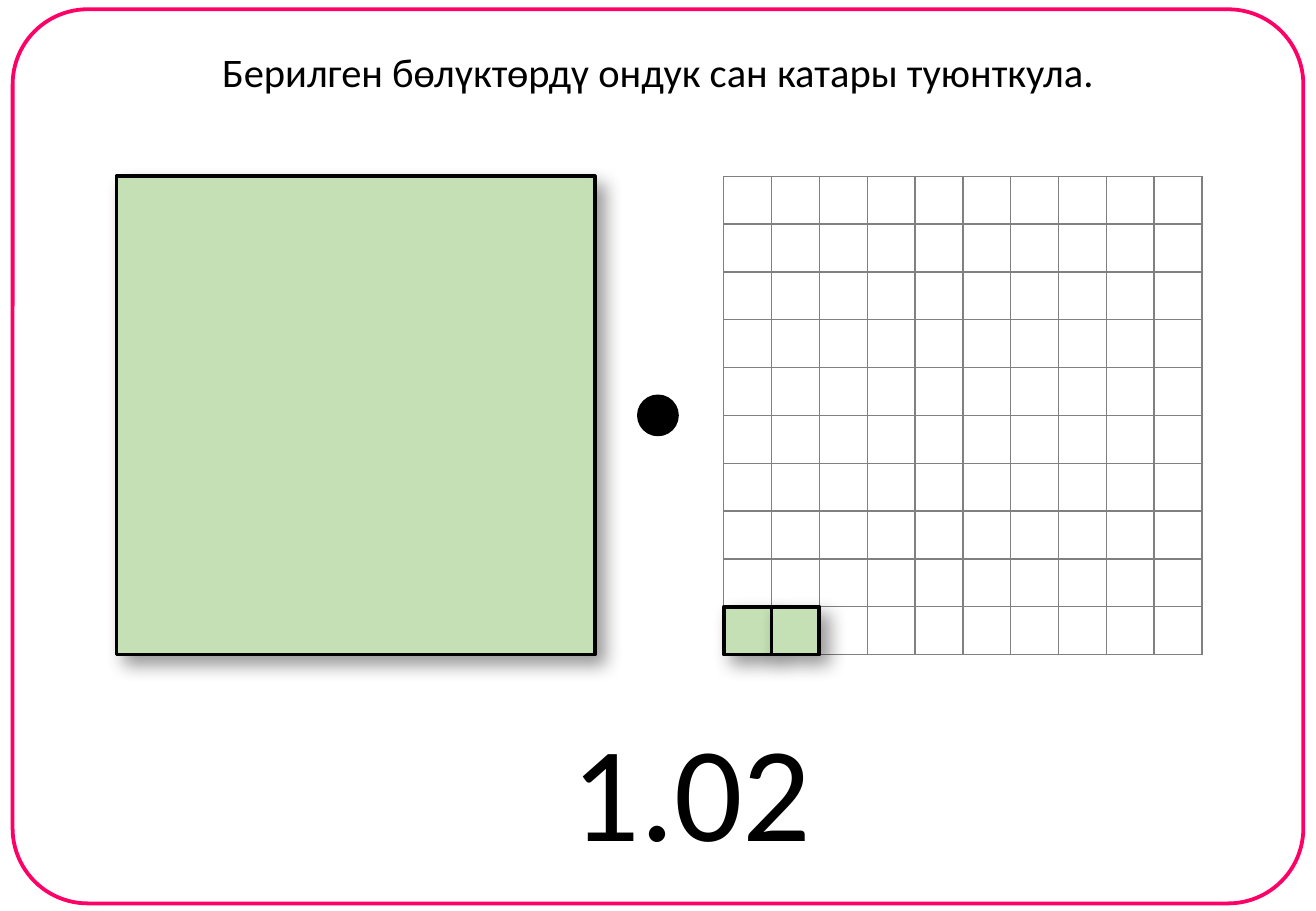
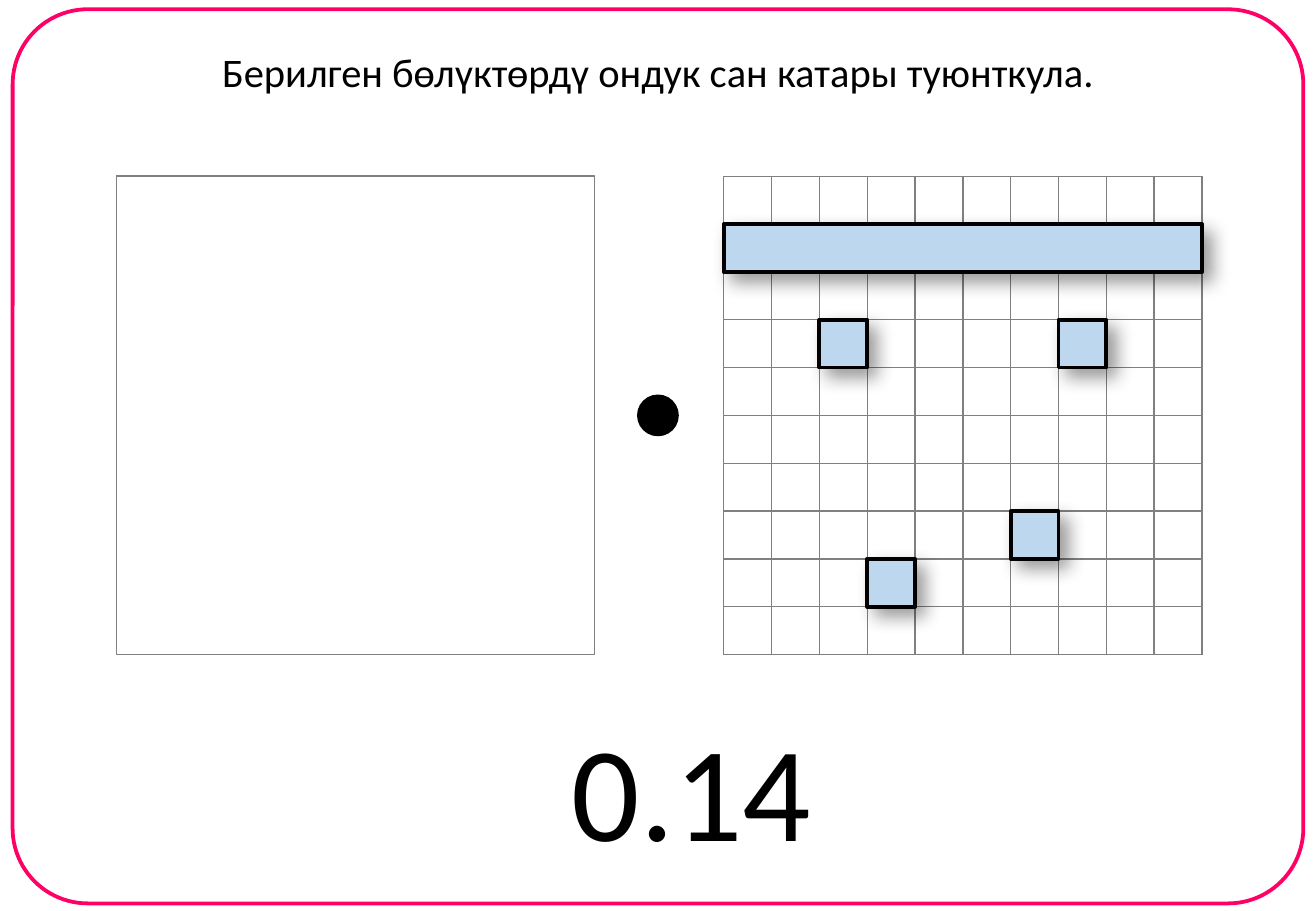
from lxml import etree
from pptx import Presentation
from pptx.dml.color import RGBColor
from pptx.enum import shapes, text
from pptx.oxml import ns
from pptx.util import Pt

# Colours and type
PINK = RGBColor(0xFF, 0x00, 0x66)
BLACK = RGBColor(0x00, 0x00, 0x00)
WHITE = RGBColor(0xFF, 0xFF, 0xFF)
GRAY = RGBColor(0x80, 0x80, 0x80)
GREEN = RGBColor(0xC5, 0xE0, 0xB4)
BLUE = RGBColor(0xBD, 0xD7, 0xEE)
FONT = "Calibri"

# Layout, in points
SLIDE_W, SLIDE_H = 780, 540
CELL, COUNT = 28.35, 10
SIDE = CELL * COUNT
TOP = 104.5
WHOLE_LEFT, GRID_LEFT = 69, 429
DOT = 22.5
HEAVY, THIN = 2.25, 1

TASK = "Берилген бөлүктөрдү ондук сан катары туюнткула."


def sub(parent, tag, **attributes):
    return etree.SubElement(parent, ns.qn(tag), attributes)


def add_color(parent, color, alpha=None):
    value = sub(parent, "a:srgbClr", val=str(color))
    if alpha is not None:
        sub(value, "a:alpha", val=str(alpha * 1000))


def add_figure(slide, preset, box, fill, line, width=HEAVY):
    figure = slide.shapes.add_shape(preset, *map(Pt, box))
    figure.shadow.inherit = False
    if fill is None:
        figure.fill.background()
    else:
        figure.fill.solid()
        figure.fill.fore_color.rgb = fill
    figure.line.color.rgb = line
    figure.line.width = Pt(width)
    return figure


def add_piece(slide, left, top, width, height, fill):
    """A coloured part with a soft shadow to the lower right."""
    piece = add_figure(slide, shapes.MSO_SHAPE.RECTANGLE,
                       (left, top, width, height), fill, BLACK)
    effects = piece._element.spPr.find(ns.qn("a:effectLst"))
    shadow = sub(effects, "a:outerShdw", blurRad=str(Pt(11)), dist=str(Pt(7)),
                 dir=str(45 * 60000), algn="tl", rotWithShape="0")
    add_color(shadow, BLACK, 40)


def add_grid(slide):
    """The hundred square."""
    grid = slide.shapes.add_table(COUNT, COUNT, Pt(GRID_LEFT), Pt(TOP),
                                  Pt(SIDE), Pt(SIDE)).table
    grid.first_row = grid.horz_banding = False
    for track in grid.columns:
        track.width = Pt(CELL)
    for track in grid.rows:
        track.height = Pt(CELL)
    for cell in grid.iter_cells():
        cell.margin_left = cell.margin_right = 0
        cell.margin_top = cell.margin_bottom = 0
        properties = cell._tc.get_or_add_tcPr()
        for edge in ("a:lnL", "a:lnR", "a:lnT", "a:lnB"):
            border = sub(properties, edge, w=str(Pt(THIN)))
            add_color(sub(border, "a:solidFill"), GRAY)
        cell.fill.solid()
        cell.fill.fore_color.rgb = WHITE


def set_line_of_text(box, words, size):
    frame = box.text_frame
    frame.text = words
    frame.word_wrap = False
    frame.vertical_anchor = text.MSO_ANCHOR.TOP
    frame.auto_size = text.MSO_AUTO_SIZE.SHAPE_TO_FIT_TEXT
    paragraph = frame.paragraphs[0]
    paragraph.alignment = text.PP_ALIGN.CENTER
    font = paragraph.runs[0].font
    font.name, font.size, font.color.rgb = FONT, Pt(size), BLACK


def add_card(deck, answer, color, whole, parts):
    """One card; parts are (column, row, columns wide) in the grid."""
    slide = deck.slides.add_slide(deck.slide_layouts[5])

    # Task and frame
    task = slide.shapes.title
    task.left, task.top, task.width, task.height = map(Pt, (121.5, 24.5, 537, 36))
    set_line_of_text(task, TASK, 24)
    frame = add_figure(slide, shapes.MSO_SHAPE.ROUNDED_RECTANGLE,
                       (7.5, 5.5, 765, 530), None, PINK)
    frame.adjustments[0] = 0.084

    # Whole, decimal point, hundredths
    if whole:
        add_piece(slide, WHOLE_LEFT, TOP, SIDE, SIDE, color)
    else:
        add_figure(slide, shapes.MSO_SHAPE.RECTANGLE,
                   (WHOLE_LEFT, TOP, SIDE, SIDE), WHITE, GRAY, THIN)
    add_figure(slide, shapes.MSO_SHAPE.OVAL,
               ((SLIDE_W - DOT) / 2, TOP + (SIDE - DOT) / 2, DOT, DOT),
               BLACK, BLACK)
    add_grid(slide)
    for column, row, span in parts:
        add_piece(slide, GRID_LEFT + column * CELL, TOP + row * CELL,
                  span * CELL, CELL, color)

    # Answer
    number = slide.shapes.add_textbox(*map(Pt, (331, 415.5, 158, 104.5)))
    set_line_of_text(number, answer, 80)


def main():
    deck = Presentation()
    deck.slide_width, deck.slide_height = Pt(SLIDE_W), Pt(SLIDE_H)
    add_card(deck, "1.02", GREEN, True, [(0, 9, 1), (1, 9, 1)])
    add_card(deck, "0.14", BLUE, False,
             [(0, 1, COUNT), (2, 3, 1), (7, 3, 1), (6, 7, 1), (3, 8, 1)])
    deck.save("out.pptx")


if __name__ == "__main__":
    main()
